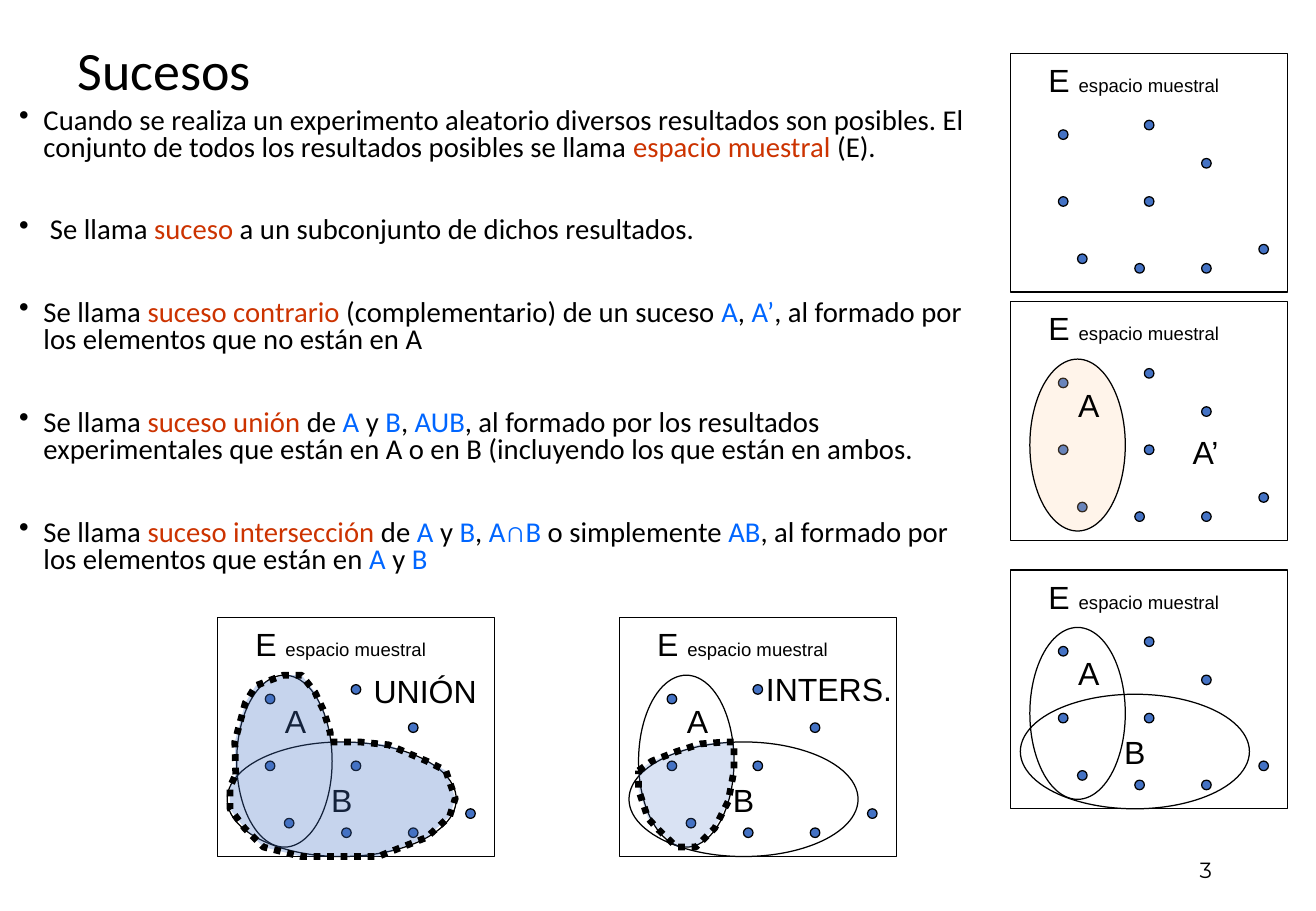
"""Slide on events: definitions beside five sample-space diagrams."""
from lxml.etree import SubElement
from pptx import Presentation
from pptx.dml.color import RGBColor as RGB
from pptx.enum.dml import MSO_LINE
from pptx.enum.shapes import MSO_SHAPE as SHAPE
from pptx.enum.text import MSO_ANCHOR as ANCHOR, MSO_AUTO_SIZE as FIT, PP_ALIGN as ALIGN
from pptx.oxml.ns import qn
from pptx.util import Inches, Pt

THEME = {
    "ink": "000000", "term": "CC3300", "set": "0066FF", "dot": "4472C4", "peach": "FFCC99",
    "title": 32, "body": 17, "page": 13, "label": 19, "small": 11,
    "text": "Calibri", "diagram": "Arial", "number": "Montserrat",
}
CELL = Inches(2.28) / 29
PANEL_W, PANEL_H = 29, 25
A_OVAL, B_OVAL = (2, 6, 10, 18), (1, 13, 24, 12)
DOTS = [(5, 8), (5, 15), (13, 22), (14, 7), (20, 22), (7, 21), (14, 15), (26, 20), (20, 11)]
UNION = [(19, 164), (18, 130), (29, 89), (40, 71), (69, 60), (88, 60), (102, 78), (111, 97),
         (118, 120), (118, 130), (149, 130), (179, 133), (219, 150), (239, 160), (249, 189),
         (243, 208), (219, 230), (168, 250), (118, 250), (88, 250), (48, 240), (28, 220),
         (13, 200), (13, 177)]
INTERSECTION = [(20, 160), (34, 150), (60, 140), (85, 132), (110, 130), (120, 130), (120, 150),
                (120, 160), (114, 192), (100, 220), (80, 240), (70, 240), (60, 240), (41, 222),
                (30, 210), (20, 180), (20, 170)]


def paint(sp, fill=None, alpha=None, **line):
    sp.shadow.inherit = False
    if fill:
        sp.fill.solid()
        sp.fill.fore_color.rgb = RGB.from_string(THEME[fill])
        if alpha:
            colour = sp._element.spPr.find(qn("a:solidFill")).find(qn("a:srgbClr"))
            SubElement(colour, qn("a:alpha")).set("val", str(alpha * 1000))
    else:
        sp.fill.background()
    sp.line.color.rgb = RGB.from_string(THEME["ink"])
    for name, value in ({"width": Pt(0.75)} | line).items():
        setattr(sp.line, name, value)


def write(p, runs, font, **formats):
    for name, value in formats.items():
        setattr(p, name, value)
    for text, colour, size in runs:
        r = p.add_run()
        r.text = text
        r.font.name, r.font.size = THEME[font], Pt(THEME[size])
        r.font.color.rgb = RGB.from_string(THEME[colour])


prs = Presentation()
prs.slide_width, prs.slide_height = Inches(10.84), Inches(7.5)
s = prs.slides.add_slide(prs.slide_layouts[6])
W, H = prs.slide_width, prs.slide_height

for at, text, font, size, formats in [
    ((0.05, 0.06, 0.91, 0.04), "Sucesos", "text", "title", {"line_spacing": 0.9}),
    ((0.71, 0.93, 0.22, 0.05), "3", "number", "page", {"alignment": ALIGN.RIGHT}),
]:
    x, y, w, h = at
    tf = s.shapes.add_textbox(round(x * W), round(y * H), round(w * W), round(h * H)).text_frame
    tf.word_wrap, tf.vertical_anchor = True, ANCHOR.MIDDLE
    write(tf.paragraphs[0], [(text, "ink", size)], font, **formats)

definitions = [
    [("Cuando se realiza un experimento aleatorio diversos resultados son posibles. El conjunto "
      "de todos los resultados posibles se llama ", "ink"),
     ("espacio muestral", "term"), (" (E).", "ink")],
    [(" Se llama ", "ink"), ("suceso", "term"),
     (" a un subconjunto de dichos resultados.", "ink")],
    [("Se llama ", "ink"), ("suceso contrario", "term"),
     (" (complementario) de un suceso ", "ink"), ("A", "set"), (", ", "ink"), ("A’", "set"),
     (", al formado por los elementos que no están en A", "ink")],
    [("Se llama ", "ink"), ("suceso unión", "term"), (" de ", "ink"), ("A", "set"),
     (" y", "ink"), (" B", "set"), (", ", "ink"), ("AUB", "set"),
     (", al formado por los resultados experimentales que están en A o en B "
      "(incluyendo los que están en ambos.", "ink")],
    [("Se llama ", "ink"), ("suceso intersección", "term"), (" de ", "ink"), ("A", "set"),
     (" y ", "ink"), ("B", "set"), (", ", "ink"), ("A∩B ", "set"), ("o simplemente ", "ink"),
     ("AB", "set"), (", al formado por los elementos que están en ", "ink"), ("A", "set"),
     (" y ", "ink"), ("B", "set")],
]
tf = s.shapes.add_textbox(Inches(0.06), Inches(0.84), Inches(8.11), Inches(4.17)).text_frame
tf.word_wrap = True
for i, runs in enumerate(definitions):
    p = tf.add_paragraph() if i else tf.paragraphs[0]
    pPr = p._p.get_or_add_pPr()
    pPr.set("marL", str(Inches(0.2)))
    pPr.set("indent", str(-Inches(0.2)))
    SubElement(SubElement(pPr, qn("a:buClr")), qn("a:srgbClr")).set("val", THEME["ink"])
    SubElement(pPr, qn("a:buChar")).set("char", "•")
    write(p, [(text, colour, "body") for text, colour in runs], "text",
          line_spacing=0.8, space_before=Pt(32.5 if i else 0))

heading = ((2.7, 0.1, 20.5), [("E ", "ink", "label"), ("espacio muestral", "ink", "small")], False)
a_label = ((5.8, 8.1, 4.7), [("A", "ink", "label")], False)
a_not_label = ((17.8, 13.1, 5.5), [("A’", "ink", "label")], False)
union_label = ((15.1, 5, 13.4), [("UNIÓN", "ink", "label")], False)
inters_label = ((14.1, 4.8, 17), [("INTERS.", "ink", "label")], True)
a_filled, a_plain = (A_OVAL, "peach", 20, ""), (A_OVAL, None, None, "")
b_plain = (B_OVAL, None, None, "B")

panels = [
    (105.9, 5.6, [], [heading], None),
    (105.9, 31.6, [a_filled], [heading, a_label, a_not_label], None),
    (105.9, 59.7, [a_plain, b_plain], [heading, a_label], None),
    (22.8, 64.7, [a_plain, b_plain], [heading, a_label, union_label], (UNION, 30)),
    (64.9, 64.7, [a_plain, b_plain], [heading, a_label, inters_label], (INTERSECTION, 20)),
]
for col, row, ovals, labels, region in panels:
    group = s.shapes.add_group_shape().shapes
    outlines = [(SHAPE.RECTANGLE, (0, 0, PANEL_W, PANEL_H), None, None, "")]
    outlines += [(SHAPE.OVAL, (x, y, 1, 1), "dot", None, "") for x, y in DOTS]
    outlines += [(SHAPE.OVAL, *oval) for oval in ovals]
    for kind, (x, y, w, h), fill, alpha, text in outlines:
        sp = group.add_shape(kind, *(round(v * CELL) for v in (col + x, row + y, w, h)))
        paint(sp, fill, alpha)
        if text:
            sp.text_frame.word_wrap, sp.text_frame.vertical_anchor = False, ANCHOR.MIDDLE
            write(sp.text_frame.paragraphs[0], [(text, "ink", "label")], "diagram",
                  alignment=ALIGN.CENTER)
    for (x, y, w), runs, wrap in labels:
        tf = group.add_textbox(*(round(v * CELL) for v in (col + x, row + y, w, 5.3))).text_frame
        tf.word_wrap, tf.auto_size = wrap, FIT.SHAPE_TO_FIT_TEXT
        write(tf.paragraphs[0], runs, "diagram")
    if region:
        points, alpha = region
        builder = s.shapes.build_freeform(*points[0], scale=CELL / 10)
        builder.add_line_segments(points[1:], close=True)
        sp = builder.convert_to_shape(round(col * CELL), round(row * CELL))
        paint(sp, "dot", alpha, width=Pt(4), dash_style=MSO_LINE.ROUND_DOT)

prs.save("out.pptx")
